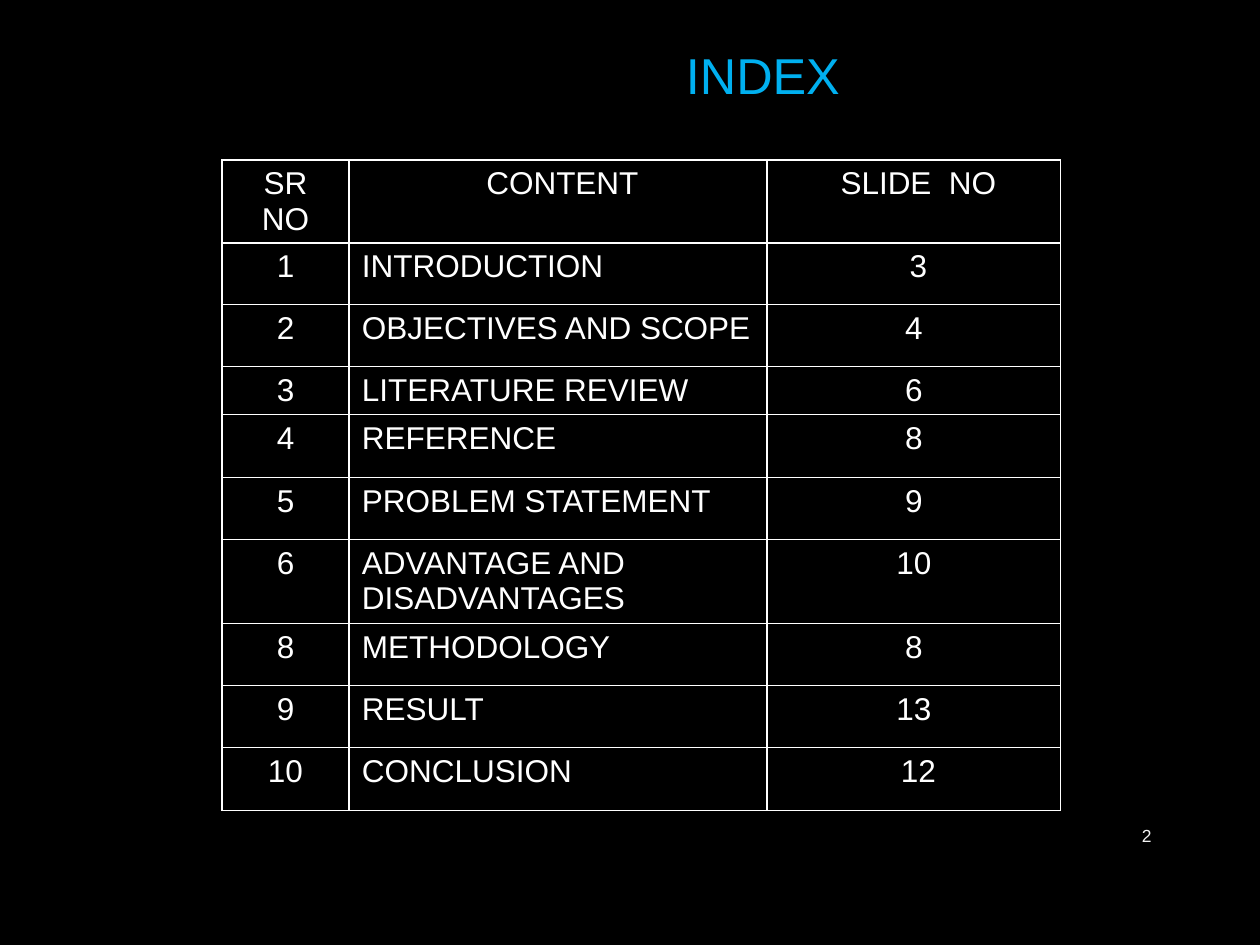
from dataclasses import dataclass

from lxml import etree
from pptx import Presentation
from pptx import util as u
from pptx.dml.color import RGBColor
from pptx.enum import text
from pptx.oxml import ns

TITLE = "INDEX"
PAGE_NUMBER = "2"
HEADER = ("SR NO", "CONTENT", "SLIDE  NO")
ENTRIES = [
    ("1", "INTRODUCTION", "3"),
    ("2", "OBJECTIVES AND SCOPE", "4"),
    ("3", "LITERATURE REVIEW", "6"),
    ("4", "REFERENCE", "8"),
    ("5", "PROBLEM STATEMENT", "9"),
    ("6", "ADVANTAGE AND DISADVANTAGES", "10"),
    ("8", "METHODOLOGY", "8"),
    ("9", "RESULT", "13"),
    ("10", "CONCLUSION", "12"),
]
COLUMN_WIDTHS = (127, 418, 294)
ROW_HEIGHTS = (83, 62, 62, 48, 63, 62, 84, 62, 62, 63)
INSET = 13
CELL_INSETS = {
    (0, 0): (18, 18),
    (0, 1): (22, INSET),
    (0, 2): (22, INSET),
    (1, 2): (22, INSET),
    (9, 2): (22, INSET),
}


@dataclass(frozen=True)
class Theme:
    font: str = "Arial"
    background: str = "000000"
    title: str = "00B0F0"
    body: str = "FFFFFF"
    number: str = "F2F2F2"
    title_size: float = 28.8
    body_size: float = 18
    number_size: float = 10
    border: float = 0.75


THEME = Theme()


def px(length):
    return u.Emu(round(length * 914400 / 126))


def place(box, left, top, width, height):
    box.left, box.top, box.width, box.height = map(px, (left, top, width, height))


def write(frame, words, size, color, align):
    para = frame.paragraphs[0]
    para.alignment = align
    span = para.add_run()
    span.text = words
    span.font.name = THEME.font
    span.font.size = u.Pt(size)
    span.font.bold = False
    span.font.color.rgb = RGBColor.from_string(color)


def add_borders(cell):
    properties = cell._tc.get_or_add_tcPr()
    for position, side in enumerate(("lnL", "lnR", "lnT", "lnB")):
        line = etree.Element(ns.qn(f"a:{side}"), w=str(u.Pt(THEME.border)))
        fill = etree.SubElement(line, ns.qn("a:solidFill"))
        etree.SubElement(fill, ns.qn("a:srgbClr"), val=THEME.body)
        properties.insert(position, line)


def add_title(page):
    box = page.shapes.title
    place(box, 223, 32, 815, 77)
    frame = box.text_frame
    frame.auto_size = text.MSO_AUTO_SIZE.NONE
    frame.vertical_anchor = text.MSO_ANCHOR.MIDDLE
    frame.margin_left, frame.margin_right = px(278), px(INSET)
    frame.margin_top, frame.margin_bottom = px(8), 0
    write(frame, TITLE, THEME.title_size, THEME.title, text.PP_ALIGN.CENTER)


def add_number(page):
    box = page.shapes.add_textbox(px(1086), px(811), px(78), px(50))
    frame = box.text_frame
    frame.word_wrap = True
    frame.vertical_anchor = text.MSO_ANCHOR.MIDDLE
    write(frame, PAGE_NUMBER, THEME.number_size, THEME.number, text.PP_ALIGN.RIGHT)


def add_index(page):
    rows = [HEADER] + ENTRIES
    table = page.shapes.add_table(
        len(rows), len(HEADER), px(222), px(160),
        px(sum(COLUMN_WIDTHS)), px(sum(ROW_HEIGHTS)),
    ).table
    table.first_row = table.horz_banding = False
    for column, width in zip(table.columns, COLUMN_WIDTHS):
        column.width = px(width)
    for row, height in zip(table.rows, ROW_HEIGHTS):
        row.height = px(height)
    for r, entry in enumerate(rows):
        for c, words in enumerate(entry):
            cell = table.cell(r, c)
            left, right = CELL_INSETS.get((r, c), (INSET, INSET))
            cell.margin_left, cell.margin_right = px(left), px(right)
            cell.margin_bottom = 0
            cell.fill.background()
            add_borders(cell)
            is_name = r > 0 and c == 1
            align = text.PP_ALIGN.LEFT if is_name else text.PP_ALIGN.CENTER
            write(cell.text_frame, words, THEME.body_size, THEME.body, align)


def main():
    deck = Presentation()
    deck.slide_width, deck.slide_height = px(1260), px(945)
    page = deck.slides.add_slide(deck.slide_layouts.get_by_name("Title Only"))
    fill = page.background.fill
    fill.solid()
    fill.fore_color.rgb = RGBColor.from_string(THEME.background)
    add_title(page)
    add_number(page)
    add_index(page)
    deck.save("out.pptx")


if __name__ == "__main__":
    main()
